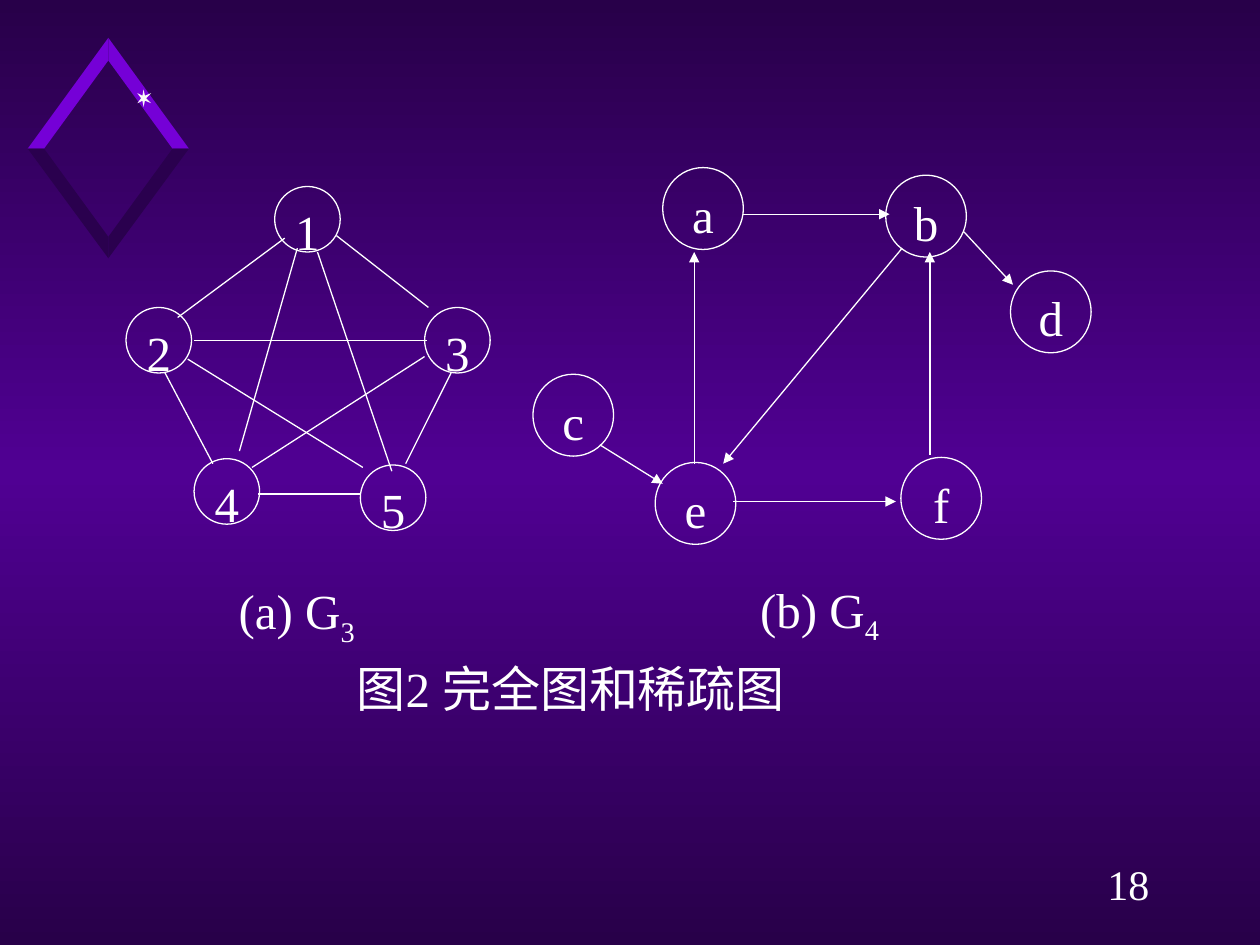
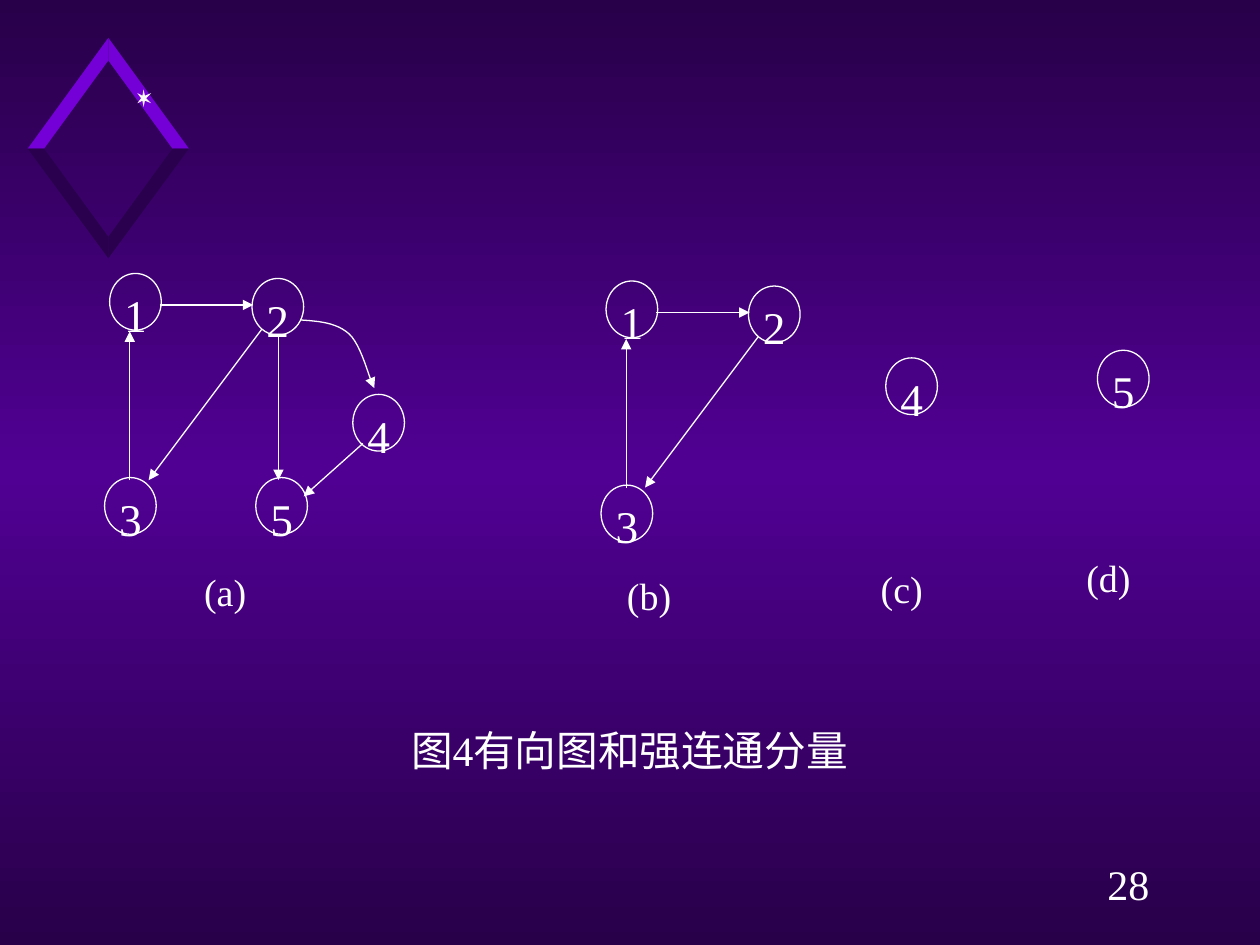
from copy import deepcopy
from pptx import Presentation
from pptx.dml.color import RGBColor
from pptx.enum.shapes import MSO_CONNECTOR, MSO_SHAPE
from pptx.enum.text import MSO_ANCHOR, PP_ALIGN
from pptx.oxml.ns import qn
from pptx.oxml.xmlchemy import OxmlElement
from pptx.util import Inches, Pt

WHITE, VIOLET, SHADE, SPARK = "FFFFFF", "7500D7", "2A004E", "F9F9F9"
GLOW = [(0, "280049"), (50, "500093"), (100, "280049")]
LATIN, HAN = "Times New Roman", "Noto Sans CJK SC"

STAR = [(1.09, 0.74), (1.13, 0.76), (1.14, 0.71), (1.15, 0.76), (1.2, 0.74), (1.16, 0.78),
        (1.2, 0.82), (1.15, 0.8), (1.14, 0.85), (1.13, 0.8), (1.09, 0.82), (1.12, 0.78)]

# Nodes are (text, left, top); edges are (x1, y1, x2, y2); labels are (text, subscript, box).
FULL = {
    "size": (0.52, 0.52), "points": 28, "arrow": False,
    "nodes": [("1", 2.18, 1.48), ("2", 1, 2.44), ("3", 3.37, 2.44),
              ("4", 1.54, 3.64), ("5", 2.86, 3.69)],
    "edges": [(2.26, 1.89, 1.41, 2.52), (1.31, 2.96, 1.69, 3.68), (2.67, 1.87, 3.4, 2.44),
              (3.58, 2.96, 3.22, 3.68), (2.36, 1.97, 1.9, 3.58), (2.52, 2, 3.11, 3.74),
              (2.05, 3.92, 2.86, 3.92), (1.49, 2.85, 2.88, 3.71), (2, 3.71, 3.37, 2.83),
              (1.54, 2.7, 3.39, 2.7)],
}
SPARSE = {
    "size": (0.64, 0.65), "points": 28, "arrow": True,
    "nodes": [("a", 5.26, 1.33), ("b", 7.03, 1.39), ("c", 4.23, 2.97),
              ("d", 8.02, 2.15), ("e", 5.2, 3.67), ("f", 7.15, 3.63)],
    "edges": [(5.9, 1.7, 7.06, 1.7), (5.82, 3.98, 7.11, 3.98), (7.38, 3.61, 7.38, 2),
              (5.51, 3.68, 5.51, 2), (4.76, 3.53, 5.26, 3.84), (7.65, 1.84, 8.04, 2.26),
              (7.16, 1.97, 5.74, 3.68)],
}
SMALL = {"size": (0.41, 0.45), "points": 25.9, "arrow": True}
CYCLE = {
    **SMALL,
    "nodes": [("1", 0.87, 2.17), ("2", 2, 2.21), ("3", 0.83, 3.79)],
    "edges": [(1.27, 2.42, 2.01, 2.42), (1.03, 3.81, 1.03, 2.63), (2.08, 2.61, 1.18, 3.81)],
}
BRANCH = {
    **SMALL,
    "nodes": [("4", 2.8, 3.13), ("5", 2.03, 3.79)],
    "edges": [(2.21, 2.66, 2.21, 3.81), (2.88, 3.52, 2.41, 3.94)],
}
SINGLES = {**SMALL, "nodes": [("4", 7.03, 2.84), ("5", 8.71, 2.78)], "edges": []}
CURVE = [[(2.39, 2.54), (2.53, 2.55), (2.67, 2.56), (2.77, 2.65)],
         [(2.77, 2.65), (2.87, 2.74), (2.93, 3.01), (2.97, 3.08)]]

SLIDES = [
    {"number": "18",
     "caption": ("图2 完全图和稀疏图", 28, (2.7, 5.23, 3.66, 0.52)),
     "points": 28,
     "labels": [("(a) G", "3", (1.44, 4.57, 1.83, 0.57)),
                ("(b) G", "4", (5.59, 4.56, 1.83, 0.57))],
     "graphs": [(FULL, 0, 0), (SPARSE, 0, 0)], "curve": []},
    {"number": "28",
     "caption": ("图4有向图和强连通分量", 23.8, (2.58, 5.75, 4.83, 0.42)),
     "points": 21.7,
     "labels": [("(a) ", "", (1.24, 4.47, 1.17, 0.4)), ("(b) ", "", (4.61, 4.5, 1.16, 0.4)),
                ("(c) ", "", (6.61, 4.45, 1.17, 0.4)), ("(d) ", "", (8.25, 4.36, 1.17, 0.4))],
     "graphs": [(CYCLE, 0, 0), (BRANCH, 0, 0), (CYCLE, 3.94, 0.06), (SINGLES, 0, 0)],
     "curve": CURVE},
]


def color(code):
    return RGBColor.from_string(code)


def paint(master):
    """Give the master a vertical three-stop gradient."""
    fill = master.background.fill
    fill.gradient()
    fill.gradient_angle = 270
    stops = master.element.find(".//" + qn("a:gsLst"))
    stops.append(deepcopy(stops[-1]))
    for stop, (place, code) in zip(fill.gradient_stops, GLOW):
        stop.position = place / 100
        stop.color.rgb = color(code)


def write(shape, text, size, sub="", inset=(0, 0.04)):
    """Set centred white text, with an optional subscript."""
    frame = shape.text_frame
    frame.word_wrap = True
    frame.vertical_anchor = MSO_ANCHOR.TOP
    frame.margin_left = frame.margin_right = Inches(inset[0])
    frame.margin_top, frame.margin_bottom = Inches(inset[1]), 0
    frame.text = text
    para = frame.paragraphs[0]
    para.alignment = PP_ALIGN.CENTER
    if sub:
        para.add_run().text = sub
        para.runs[1].font._element.set("baseline", "-25000")
    for run in para.runs:
        run.font.name, run.font.size = LATIN, Pt(size)
        run.font.color.rgb = color(WHITE)
        east = OxmlElement("a:ea")
        east.set("typeface", HAN)
        run.font._element.append(east)


def label(slide, text, size, box, **more):
    write(slide.shapes.add_textbox(*map(Inches, box)), text, size, **more)


def stroke(shape, arrow=False):
    shape.line.color.rgb = color(WHITE)
    shape.line.width = Pt(0.75)
    if arrow:
        tip = OxmlElement("a:tailEnd")
        tip.set("type", "triangle")
        shape.element.spPr.find(qn("a:ln")).append(tip)


def trace(slide, points, closed=True):
    spots = [(Inches(x), Inches(y)) for x, y in points]
    pen = slide.shapes.build_freeform(*spots[0])
    pen.add_line_segments(spots[1:], close=closed)
    shape = pen.convert_to_shape()
    shape.shadow.inherit = False
    return shape


def solid(slide, points, code):
    shape = trace(slide, points)
    shape.fill.solid()
    shape.fill.fore_color.rgb = color(code)
    shape.line.fill.background()


def emblem(slide):
    mid, waist = 0.86, 1.18
    for outer, inner, code in [(0.3, 0.48, VIOLET), (2.05, 1.88, SHADE)]:
        for side in (1, -1):
            solid(slide, [(mid, outer), (mid + side * 0.64, waist),
                          (mid + side * 0.51, waist), (mid, inner)], code)
    solid(slide, STAR, SPARK)


def bend(parts, steps=12):
    """Points along a chain of cubic curves."""
    points = [parts[0][0]]
    for ends in parts:
        for step in range(1, steps + 1):
            t = step / steps
            rates = ((1 - t) ** 3, 3 * t * (1 - t) ** 2, 3 * t * t * (1 - t), t ** 3)
            points.append(tuple(sum(r * p[axis] for r, p in zip(rates, ends))
                                for axis in (0, 1)))
    return points


def draw(slide, graph, dx, dy):
    for text, x, y in graph["nodes"]:
        box = map(Inches, (x + dx, y + dy, *graph["size"]))
        node = slide.shapes.add_shape(MSO_SHAPE.OVAL, *box)
        node.shadow.inherit = False
        node.fill.background()
        stroke(node)
        write(node, text, graph["points"])
    for x1, y1, x2, y2 in graph["edges"]:
        ends = map(Inches, (x1 + dx, y1 + dy, x2 + dx, y2 + dy))
        edge = slide.shapes.add_connector(MSO_CONNECTOR.STRAIGHT, *ends)
        stroke(edge, graph["arrow"])
        edge.element.spPr.append(OxmlElement("a:effectLst"))


def build(deck, page):
    slide = deck.slides.add_slide(deck.slide_layouts[6])
    emblem(slide)
    label(slide, page["number"], 24, (8.58, 6.73, 0.75, 0.5), inset=(0.1, 0.08))
    label(slide, *page["caption"], inset=(0, 0))
    for text, sub, box in page["labels"]:
        label(slide, text, page["points"], box, sub=sub)
    for graph, dx, dy in page["graphs"]:
        draw(slide, graph, dx, dy)
    if page["curve"]:
        arc = trace(slide, bend(page["curve"]), closed=False)
        arc.fill.background()
        stroke(arc, arrow=True)


def main():
    deck = Presentation()
    deck.slide_width, deck.slide_height = Inches(10), Inches(7.5)
    paint(deck.slide_master)
    for page in SLIDES:
        build(deck, page)
    deck.save("out.pptx")


if __name__ == "__main__":
    main()
